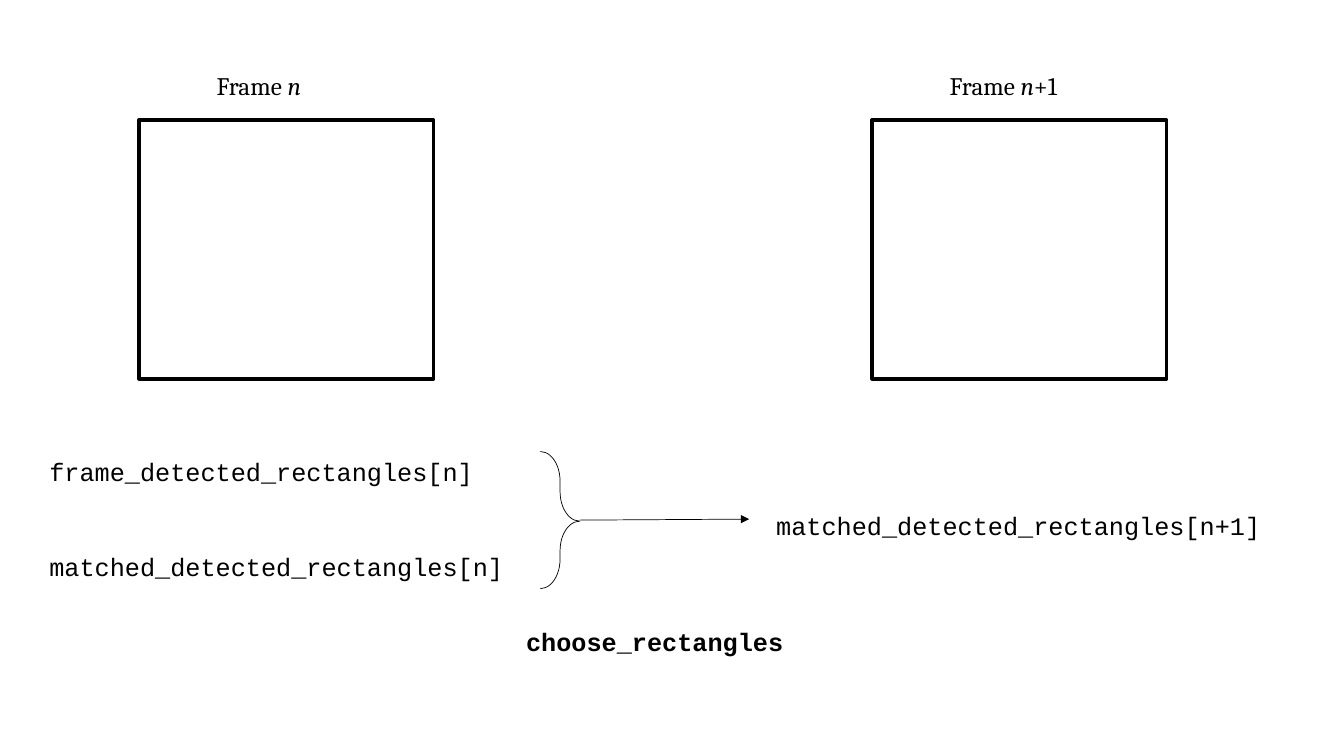
from lxml.etree import SubElement
from pptx import Presentation
from pptx.dml.color import RGBColor
from pptx.enum.shapes import MSO_CONNECTOR as Link, MSO_SHAPE as Preset
from pptx.enum.text import MSO_AUTO_SIZE as AutoSize
from pptx.oxml.ns import qn
from pptx.util import Inches, Pt

WIDTH, HEIGHT = Inches(13.33), Inches(7.5)
INK = "000000"
SERIF, CODE = "Cambria", "Courier New"
LABEL_ROWS = 5.33


# The slide is a grid of 100 columns by 100 rows
def col(share):
    return round(WIDTH * share / 100)


def row(share):
    return round(HEIGHT * share / 100)


def area(left, top, width, height):
    return col(left), row(top), col(width), row(height)


def color(value):
    return RGBColor.from_string(value)


def draw_line(line, weight):
    line.color.rgb = color(INK)
    line.width = Pt(weight)


def add_text(slide, parts, left, top, width, font=CODE, size=18, bold=False):
    """Write one line made of (wording, italic) parts."""
    label = slide.shapes.add_textbox(*area(left, top, width, LABEL_ROWS))
    frame = label.text_frame
    frame.word_wrap = False
    frame.auto_size = AutoSize.SHAPE_TO_FIT_TEXT
    for wording, italic in parts:
        run = frame.paragraphs[0].add_run()
        run.text = wording
        run.font.name, run.font.size = font, Pt(size)
        run.font.bold, run.font.italic = bold, italic
        run.font.color.rgb = color(INK)


def add_outline(slide, preset, box, weight):
    outline = slide.shapes.add_shape(preset, *area(*box))
    outline.shadow.inherit = False
    outline.fill.background()
    draw_line(outline.line, weight)
    return outline


def add_frame(slide, left, title, title_width):
    add_outline(slide, Preset.RECTANGLE, (left, 15.87, 21.9, 34.27), 2.5)
    add_text(slide, title, left + 5.03, 8.67, title_width, font=SERIF)


def add_brace(slide, left, top, width, height):
    brace = add_outline(slide, Preset.RIGHT_BRACE, (left, top, width, height), 0.5)
    brace.adjustments[0] = 0.752
    brace.adjustments[1] = 0.508


def add_arrow(slide, start, end):
    arrow = slide.shapes.add_connector(
        Link.STRAIGHT, col(start[0]), row(start[1]), col(end[0]), row(end[1]))
    draw_line(arrow.line, 0.5)
    SubElement(arrow.line._get_or_add_ln(), qn("a:tailEnd"), type="triangle")
    SubElement(arrow._element.spPr, qn("a:effectLst"))


def main():
    deck = Presentation()
    deck.slide_width, deck.slide_height = WIDTH, HEIGHT
    slide = deck.slides.add_slide(deck.slide_layouts[6])

    # Consecutive frames
    frame_n = [("Frame ", False), ("n", True)]
    add_frame(slide, 10.35, frame_n, 8.55)
    add_frame(slide, 64.89, frame_n + [("+1", False)], 10.95)

    # Inputs, result and the function that joins them
    for name, left, top, width, bold in (
        ("frame_detected_rectangles[n]", 2.93, 59.73, 33.16, False),
        ("matched_detected_rectangles[n]", 2.93, 72.27, 35.41, False),
        ("matched_detected_rectangles[n+1]", 57.01, 66.8, 37.73, False),
        ("choose_rectangles", 38.41, 82.13, 20.71, True),
    ):
        add_text(slide, [(name, False)], left, top, width, bold=bold)

    # Flow from the inputs to the result
    add_brace(slide, 40.21, 59.73, 2.93, 18.13)
    add_arrow(slide, (43.14, 68.8), (55.74, 68.67))

    deck.save("out.pptx")


if __name__ == "__main__":
    main()
